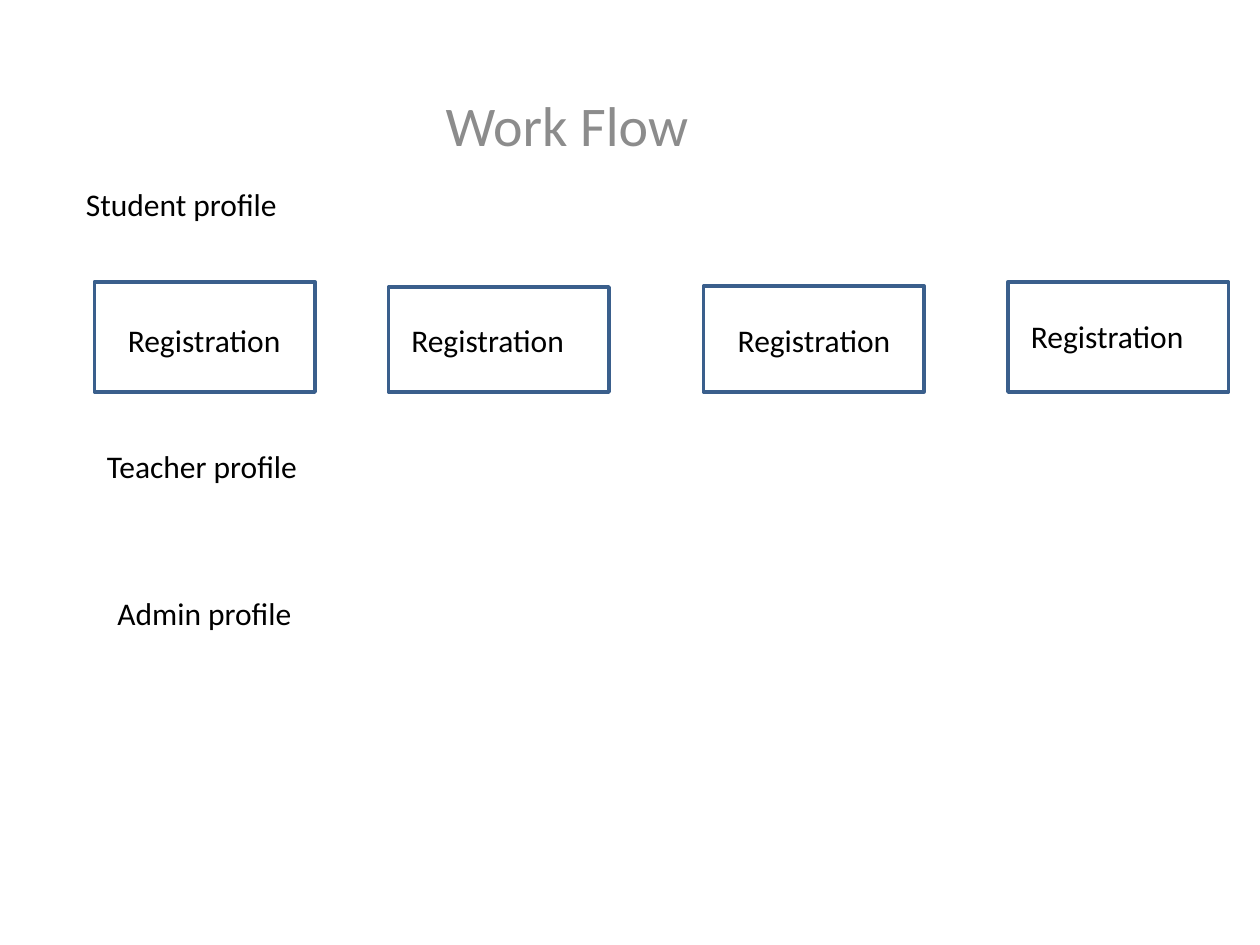
from pptx import Presentation
from pptx.dml.color import RGBColor
from pptx.enum.shapes import MSO_SHAPE
from pptx.enum.text import PP_ALIGN
from pptx.util import Pt

RECTANGLE = MSO_SHAPE.RECTANGLE
LEFT, CENTER = PP_ALIGN.LEFT, PP_ALIGN.CENTER


def color(value):
    return RGBColor.from_string(value)


def add_text(text, left, top, width, height, size=18, fill="000000", align=LEFT):
    box = slide.shapes.add_textbox(Pt(left), Pt(top), Pt(width), Pt(height))
    box.text_frame.word_wrap = True
    paragraph = box.text_frame.paragraphs[0]
    paragraph.text = text
    paragraph.alignment = align
    paragraph.font.name = "Calibri"
    paragraph.font.size = Pt(size)
    paragraph.font.color.rgb = color(fill)


presentation = Presentation()
presentation.slide_width = Pt(720)
presentation.slide_height = Pt(540)
slide = presentation.slides.add_slide(presentation.slide_layouts[6])

add_text("Work Flow", 36, 48, 576, 42, size=32, fill="8C8C8C", align=CENTER)

# Steps share a bottom edge: step left, step top, label left, label top
STEP_WIDTH, STEP_BOTTOM = 126, 224
steps = [
    (54, 161, 66, 180),
    (222, 164, 228, 180),
    (402, 163.5, 414.5, 180),
    (576, 161, 582, 177.5),
]
for left, top, label_left, label_top in steps:
    step = slide.shapes.add_shape(
        RECTANGLE, Pt(left), Pt(top), Pt(STEP_WIDTH), Pt(STEP_BOTTOM - top))
    step.shadow.inherit = False
    step.fill.background()
    step.line.color.rgb = color("3A5F8C")
    step.line.width = Pt(2)
    add_text("Registration", label_left, label_top, 114, 29)

profiles = [
    ("Student profile", 42, 102),
    ("Teacher profile", 54, 252),
    ("Admin profile", 60, 336),
]
for profile, left, top in profiles:
    add_text(profile, left, top, 126, 51)

presentation.save("out.pptx")
